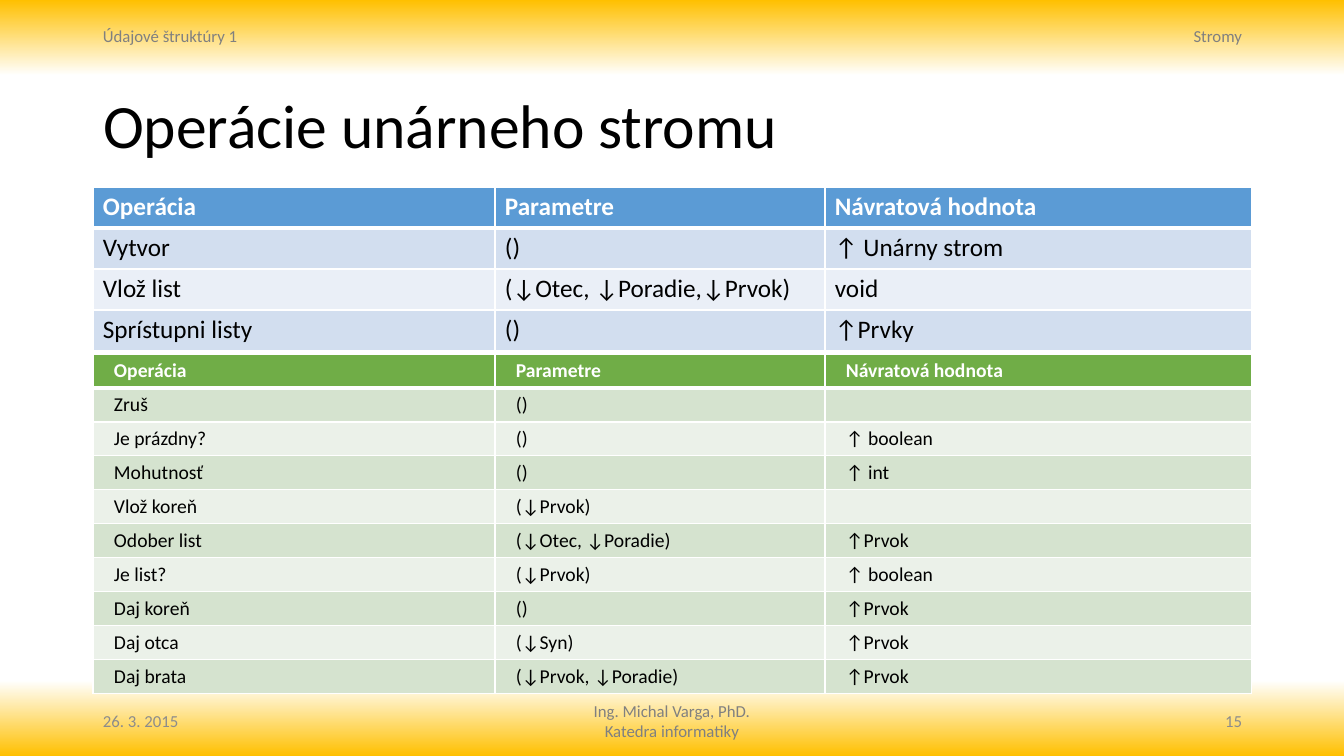
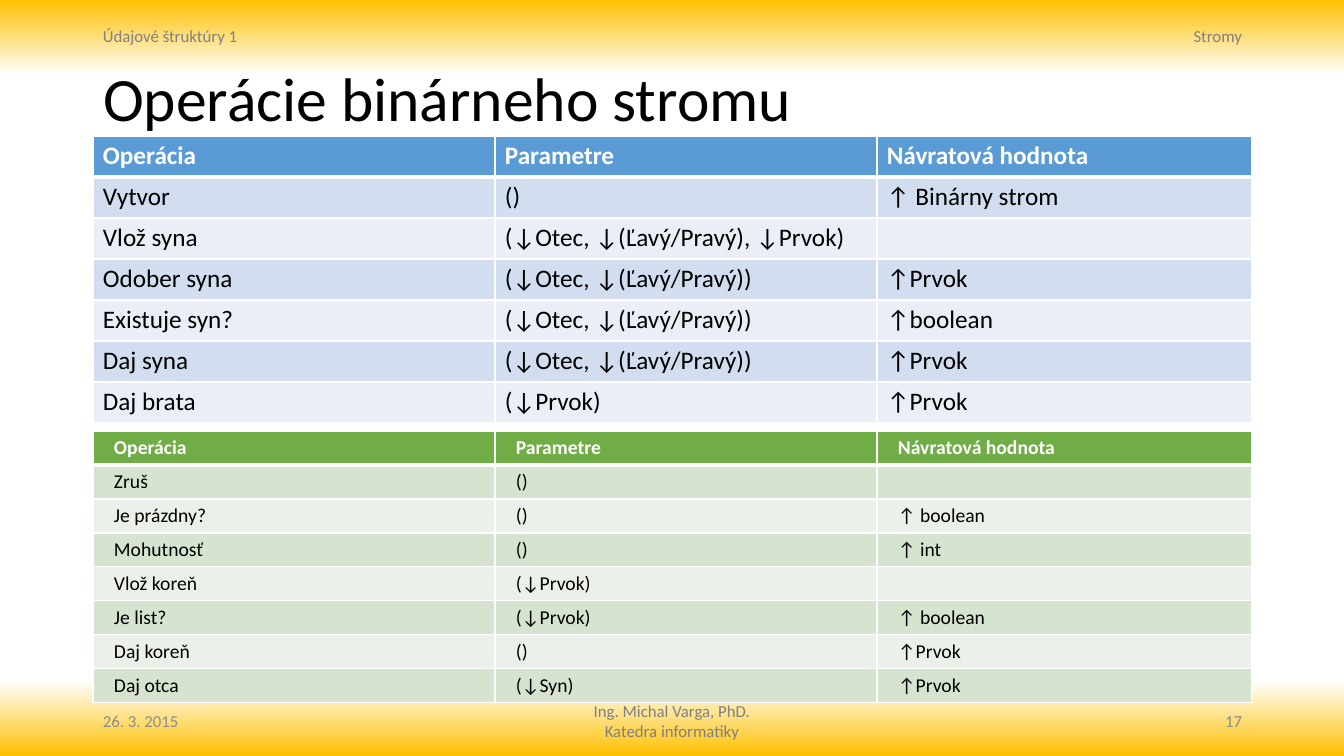
from lxml import etree
from pptx import Presentation, util as u
from pptx.dml.color import RGBColor
from pptx.enum import text as t
from pptx.oxml.ns import qn

LEFT, WIDE = 93, 1159
WHITE, BLACK, GOLD = "FFFFFF", "000000", "FFC000"
BLUE = dict(head="5B9BD5", bands=("D2DEEF", "EAEFF7"), size=18, row=41, pad=10)
GREEN = dict(head="70AD47", bands=("D5E3CF", "EBF1E9"), size=14, row=34, pad=21)
HEAD = ("Operácia", "Parametre", "Návratová hodnota")
START, MID, END = t.PP_ALIGN.LEFT, t.PP_ALIGN.CENTER, t.PP_ALIGN.RIGHT


def px(*vals):
    """Turn pixels into EMU, 1344 px to the slide width."""
    return [u.Emu(round(v * 12192000 / 1344)) for v in vals]


def style(frame, size, color, align=START, bold=False):
    frame.word_wrap = True
    frame.vertical_anchor = t.MSO_ANCHOR.MIDDLE
    for par in frame.paragraphs:
        par.alignment = align
        for run in par.runs:
            look = dict(name="Calibri", size=u.Pt(size), bold=bold)
            for key, val in look.items():
                setattr(run.font, key, val)
            run.font.color.rgb = RGBColor.from_string(color)


# Operations that both kinds of tree inherit
base = [
    ("Zruš", "()", ""),
    ("Je prázdny?", "()", "↑ boolean"),
    ("Mohutnosť", "()", "↑ int"),
    ("Vlož koreň", "(↓Prvok)", ""),
]
query = [
    ("Je list?", "(↓Prvok)", "↑ boolean"),
    ("Daj koreň", "()", "↑Prvok"),
    ("Daj otca", "(↓Syn)", "↑Prvok"),
]
side = "(↓Otec, ↓(Ľavý/Pravý))"

pages = [
    dict(title="Operácie unárneho stromu", top=71, num="15", cols=(402, 330, 427),
         tables=[
             (187, BLUE, [
                 ("Vytvor", "()", "↑ Unárny strom"),
                 ("Vlož list", "(↓Otec, ↓Poradie,↓Prvok)", "void"),
                 ("Sprístupni listy", "()", "↑Prvky"),
             ]),
             (354, GREEN, base
              + [("Odober list", "(↓Otec, ↓Poradie)", "↑Prvok")]
              + query
              + [("Daj brata", "(↓Prvok, ↓Poradie)", "↑Prvok")]),
         ]),
    dict(title="Operácie binárneho stromu", top=44, num="17", cols=(402, 382, 375),
         tables=[
             (136, BLUE, [
                 ("Vytvor", "()", "↑ Binárny strom"),
                 ("Vlož syna", "(↓Otec, ↓(Ľavý/Pravý), ↓Prvok)", ""),
                 ("Odober syna", side, "↑Prvok"),
                 ("Existuje syn?", side, "↑boolean"),
                 ("Daj syna", side, "↑Prvok"),
                 ("Daj brata", "(↓Prvok)", "↑Prvok"),
             ]),
             (431, GREEN, base + query),
         ]),
]

deck = Presentation()
deck.slide_width, deck.slide_height = px(1344, 756)
master = deck.slide_master
layout = deck.slide_layouts.get_by_name("Title Only")

# Gold bands at the top and bottom of every slide
fill = master.background.fill
fill.gradient()
fill.gradient_angle = 270
stops = master.element.find(".//" + qn("a:gsLst"))
for old in list(stops):
    stops.remove(old)
for pos, color in ((0, GOLD), (10, WHITE), (90, WHITE), (100, GOLD)):
    stop = etree.SubElement(stops, qn("a:gs"), pos=str(pos * 1000))
    etree.SubElement(stop, qn("a:srgbClr"), val=color)

slides = [deck.slides.add_slide(layout) for page in pages]

# Header and footer texts, made on a slide and moved to the master
notes = [
    ("Údajové štruktúry 1", (LEFT, 20, 302, 31), START, "808080"),
    ("Stromy", (950, 20, 302, 31), END, "808080"),
    ("26. 3. 2015", (LEFT, 701, 302, 40), START, "8C8C8C"),
    ("Ing. Michal Varga, PhD.\nKatedra informatiky", (480, 696, 384, 50), MID, "808080"),
]
for num, (words, spot, align, color) in enumerate(notes):
    box = slides[0].shapes.add_textbox(*px(*spot))
    box.text_frame.text = words
    style(box.text_frame, 12, color, align)
    box.element.nvSpPr.cNvPr.set("id", str(20 + num))
    master.shapes.element.append(box.element)

for slide, page in zip(slides, pages):
    title = slide.shapes.title
    title.left, title.top, title.width, title.height = px(LEFT, page["top"], WIDE, 116)
    title.text_frame.text = page["title"]
    title.text_frame.paragraphs[0].line_spacing = 0.9
    style(title.text_frame, 44, BLACK)

    box = slide.shapes.add_textbox(*px(950, 701, 302, 40))
    box.text_frame.text = page["num"]
    style(box.text_frame, 12, "8C8C8C", END)

    for top, kind, body in page["tables"]:
        rows = [HEAD] + body
        spot = px(LEFT, top, WIDE, kind["row"] * len(rows))
        grid = slide.shapes.add_table(len(rows), len(HEAD), *spot).table
        grid.horz_banding = False
        for col, width in zip(grid.columns, px(*page["cols"])):
            col.width = width
        for r, row in enumerate(rows):
            grid.rows[r].height = px(kind["row"])[0]
            for c, words in enumerate(row):
                cell = grid.cell(r, c)
                cell.margin_left = cell.margin_right = px(kind["pad"])[0]
                cell.margin_top = cell.margin_bottom = px(5)[0]
                cell.text = words
                style(cell.text_frame, kind["size"], BLACK if r else WHITE, bold=r == 0)
                # Keeps an empty cell from growing its row
                last = cell.text_frame.paragraphs[0]._p.get_or_add_endParaRPr()
                last.set("sz", str(kind["size"] * 100))

                props = cell._tc.get_or_add_tcPr()
                for edge in "LRTB":
                    thick = (r, edge) in ((0, "B"), (1, "T"))
                    line = etree.SubElement(props, qn("a:ln" + edge),
                                            w=str(u.Pt(3 if thick else 1)))
                    paint = etree.SubElement(line, qn("a:solidFill"))
                    etree.SubElement(paint, qn("a:srgbClr"), val=WHITE)
                cell.fill.solid()
                shade = kind["bands"][(r - 1) % 2] if r else kind["head"]
                cell.fill.fore_color.rgb = RGBColor.from_string(shade)

deck.save("out.pptx")
